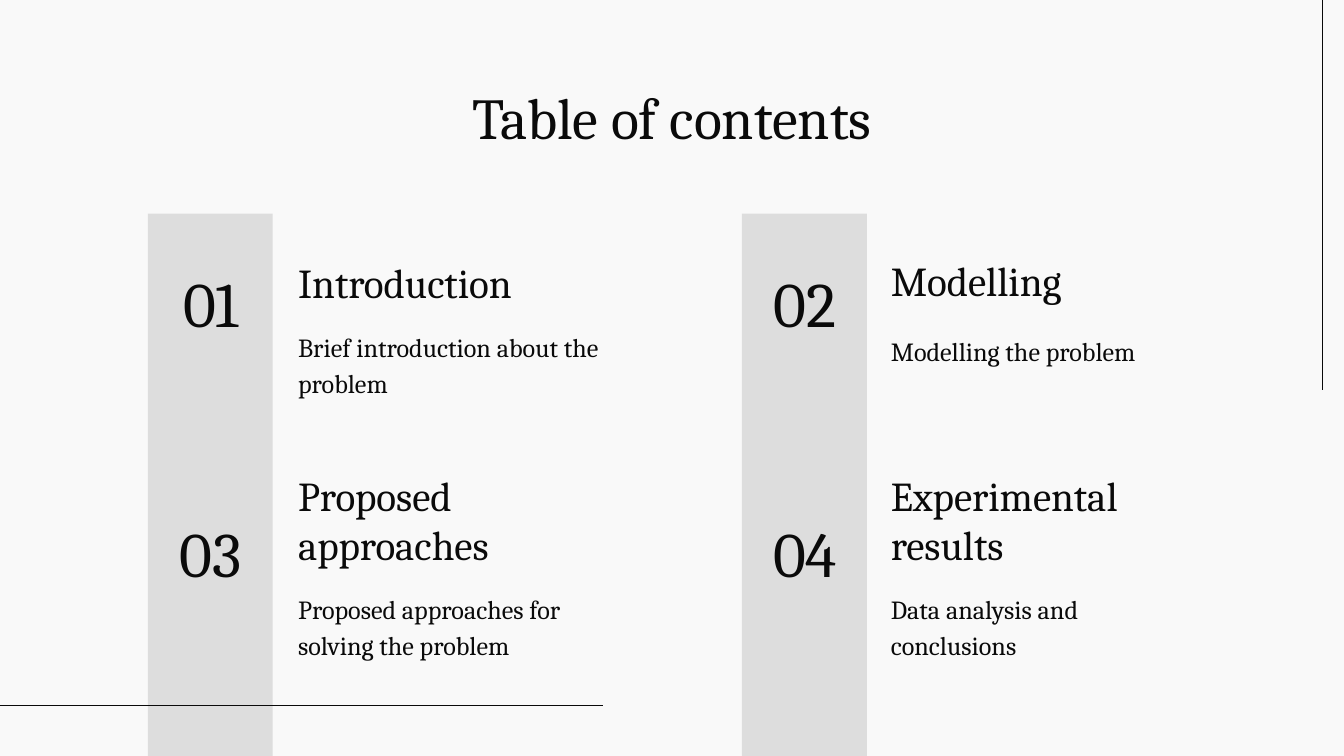
"""Build a table of contents slide with four numbered sections."""
from lxml import etree
from pptx import Presentation
from pptx.dml.color import RGBColor
from pptx.enum import shapes, text
from pptx.oxml import ns
from pptx.util import Inches, Pt

INK = RGBColor(0x0A, 0x0A, 0x0A)
BAR = RGBColor(0xDD, 0xDD, 0xDD)
PAPER = RGBColor(0xF9, 0xF9, 0xF9)
TOP, MIDDLE, BOTTOM = (text.MSO_ANCHOR.TOP, text.MSO_ANCHOR.MIDDLE,
                       text.MSO_ANCHOR.BOTTOM)
LEFT, CENTER = text.PP_ALIGN.LEFT, text.PP_ALIGN.CENTER


def add_text(s, box, words, size, anchor, align, spacing=1.0):
    sp = s.shapes.add_textbox(*[Inches(v) for v in box])
    tf = sp.text_frame
    tf.word_wrap = True
    tf.vertical_anchor = anchor
    tf.margin_left = tf.margin_right = Inches(0.1)
    tf.margin_top = tf.margin_bottom = Inches(0.1)
    tf.text = words
    p = tf.paragraphs[0]
    p.alignment = align
    p.line_spacing = spacing
    r = p.runs[0]
    r.font.name = "Cambria"
    r.font.size = Pt(size)
    r.font.color.rgb = INK


def add_line(s, *ends):
    sp = s.shapes.add_connector(shapes.MSO_CONNECTOR.STRAIGHT,
                                *[Inches(v) for v in ends])
    sp.line.color.rgb = INK
    sp.line.width = Pt(0.75)
    etree.SubElement(sp._element.spPr, ns.qn("a:effectLst"))


prs = Presentation()
prs.slide_width = Inches(10)
prs.slide_height = Inches(10) * 9 // 16
s = prs.slides.add_slide(prs.slide_layouts[6])
s.background.fill.solid()
s.background.fill.fore_color.rgb = PAPER

add_line(s, 9.84, 2.9, 9.84, 0)

for left in (5.52, 1.1):
    sp = s.shapes.add_shape(shapes.MSO_SHAPE.RECTANGLE, Inches(left),
                            Inches(1.59), Inches(0.93), Inches(4.04))
    sp.shadow.inherit = False
    sp.fill.solid()
    sp.fill.fore_color.rgb = BAR
    sp.line.fill.background()

add_line(s, 0, 5.25, 4.49, 5.25)
add_text(s, (0.78, 0.51, 8.44, 0.6), "Table of contents", 31, TOP, CENTER)

number_lefts, number_tops = [1.09, 5.51], [1.62, 3.48]
text_lefts = [2.12, 6.53]
sections = [
    ("01", 0, 0, "Introduction", 1.5, 2.5,
     "Brief introduction about the problem", 2.33),
    ("03", 0, 1, "Proposed approaches", 3.45, 2.5,
     "Proposed approaches for solving the problem", 4.28),
    ("02", 1, 0, "Modelling", 1.49, 3.16, "Modelling the problem", 2.36),
    ("04", 1, 1, "Experimental results", 3.45, 2.5,
     "Data analysis and conclusions", 4.28),
]
for number, col, row, heading, heading_top, width, detail, detail_top in sections:
    left = text_lefts[col]
    add_text(s, (left, detail_top, 2.5, 0.71), detail, 14, TOP, LEFT, 1.15)
    add_text(s, (left, heading_top, width, 0.88), heading, 22, BOTTOM, LEFT)
    add_text(s, (number_lefts[col], number_tops[row], 0.96, 1.26), number,
             34, MIDDLE, CENTER)

prs.save("out.pptx")
